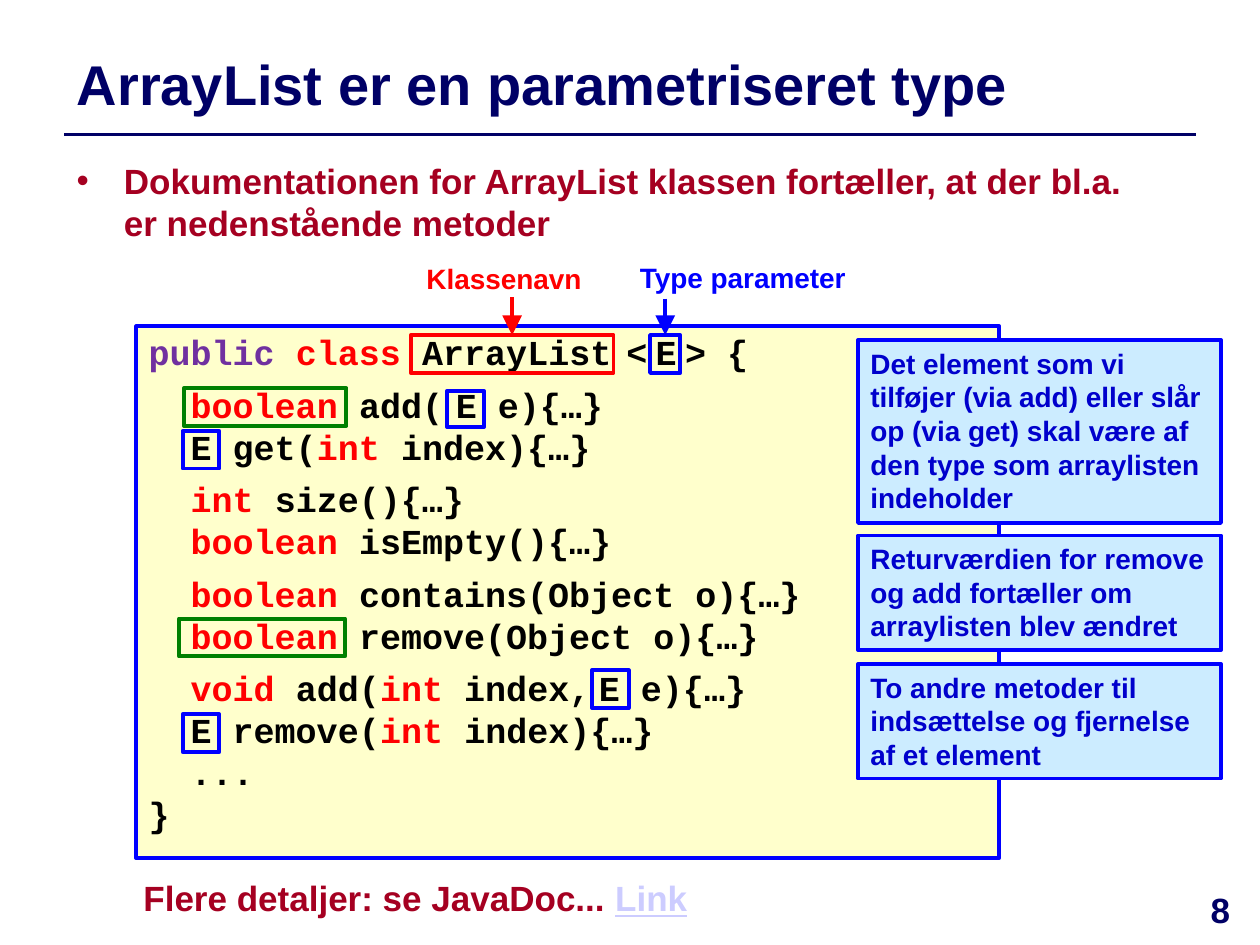
"""Build the slide on ArrayList as a parameterised type."""
from typing import NamedTuple

from lxml import etree
from pptx import Presentation
from pptx.dml.color import RGBColor
from pptx.enum.shapes import MSO_CONNECTOR, MSO_SHAPE
from pptx.enum.text import MSO_ANCHOR, MSO_AUTO_SIZE, PP_ALIGN
from pptx.oxml.ns import qn
from pptx.util import Pt

RECTANGLE = MSO_SHAPE.RECTANGLE
STRAIGHT = MSO_CONNECTOR.STRAIGHT
TOP, MIDDLE = MSO_ANCHOR.TOP, MSO_ANCHOR.MIDDLE
LEFT, CENTER = PP_ALIGN.LEFT, PP_ALIGN.CENTER
NO_AUTOFIT = MSO_AUTO_SIZE.NONE
SANS, MONO = "Arial", "Courier New"
LINE_FACTOR = 1.2
TOP_SITE = 0

COLORS = {
    "navy": "000066", "crimson": "A50021", "blue": "0000FF", "ink_blue": "0000CC",
    "red": "FF0000", "green": "008000", "purple": "7030A0", "black": "000000",
    "cream": "FFFFCC", "sky": "CCECFF", "link": "CCCCFF",
}


class Box(NamedTuple):
    left: float
    top: float
    width: float
    height: float


class Run(NamedTuple):
    text: str
    color: str = "black"
    size: float = 20
    underline: bool = False


class CodeLine(NamedTuple):
    runs: list[Run]
    space_before: float = 0


class Frame(NamedTuple):
    box: Box
    color: str


class Label(NamedTuple):
    text: str
    box: Box
    arrow_top: float
    target: Frame


class Callout(NamedTuple):
    text: str
    top: float
    height: float


def rgb(name: str) -> RGBColor:
    return RGBColor.from_string(COLORS[name])


def keyword(text: str) -> Run:
    return Run(text, "red")


def points(box: Box) -> list[Pt]:
    return [Pt(value) for value in box]


def add_runs(paragraph, runs: list[Run], font: str = SANS) -> None:
    for part in runs:
        run = paragraph.add_run()
        run.text = part.text
        run.font.name = font
        run.font.size = Pt(part.size)
        run.font.bold = True
        run.font.color.rgb = rgb(part.color)
        if part.underline:
            run.font.underline = True


def write(frame, runs: list[Run], align=LEFT):
    frame.word_wrap = True
    frame.vertical_anchor = TOP
    paragraph = frame.paragraphs[0]
    paragraph.alignment = align
    paragraph.line_spacing = Pt(runs[0].size * LINE_FACTOR)
    add_runs(paragraph, runs)
    return paragraph


def add_text(slide, box: Box, runs: list[Run], align=LEFT):
    return write(slide.shapes.add_textbox(*points(box)).text_frame, runs, align)


def add_rectangle(slide, box: Box, outline: str, fill: str | None = None):
    rectangle = slide.shapes.add_shape(RECTANGLE, *points(box))
    rectangle.shadow.inherit = False
    if fill:
        rectangle.fill.solid()
        rectangle.fill.fore_color.rgb = rgb(fill)
    else:
        rectangle.fill.background()
    rectangle.line.color.rgb = rgb(outline)
    rectangle.line.width = Pt(2.25)
    return rectangle


def add_line(slide, start: tuple, end: tuple, color: str, width: float):
    line = slide.shapes.add_connector(STRAIGHT, *(Pt(v) for v in start + end))
    line.line.color.rgb = rgb(color)
    line.line.width = Pt(width)
    etree.SubElement(line._element.spPr, qn("a:effectLst"))
    return line


def add_title(slide, text: str) -> None:
    title = slide.shapes.title
    title.left, title.top, title.width, title.height = points(Box(36.7, 20.2, 623.5, 54))
    frame = title.text_frame
    frame.auto_size = NO_AUTOFIT
    frame.vertical_anchor = MIDDLE
    frame.paragraphs[0].alignment = LEFT
    add_runs(frame.paragraphs[0], [Run(text, "navy", 32)])
    add_line(slide, (36.7, 77), (683.3, 77), "navy", 2)


def add_bullet(slide, box: Box, run: Run) -> None:
    paragraph = add_text(slide, box, [run])
    properties = paragraph._p.get_or_add_pPr()
    properties.set("marL", str(Pt(27)))
    properties.set("indent", str(-Pt(27)))
    etree.SubElement(properties, qn("a:buFont")).set("typeface", SANS)
    etree.SubElement(properties, qn("a:buChar")).set("char", "•")


def add_code(slide, box: Box, lines: list[CodeLine]) -> None:
    frame = add_rectangle(slide, box, "blue", "cream").text_frame
    frame.word_wrap = True
    frame.vertical_anchor = TOP
    frame.margin_top = Pt(2.5)
    for index, line in enumerate(lines):
        paragraph = frame.add_paragraph() if index else frame.paragraphs[0]
        paragraph.alignment = LEFT
        paragraph.line_spacing = Pt(20 * LINE_FACTOR)
        paragraph.space_before = Pt(line.space_before)
        add_runs(paragraph, line.runs, MONO)


def add_label(slide, label: Label) -> None:
    target, color = label.target.box, label.target.color
    add_text(slide, label.box, [Run(label.text, color, 16)], CENTER)
    framed = add_rectangle(slide, target, color)
    middle = target.left + target.width / 2
    arrow = add_line(slide, (middle, label.arrow_top), (middle, target.top), color, 2.25)
    arrow.end_connect(framed, TOP_SITE)
    head = etree.SubElement(arrow.line._get_or_add_ln(), qn("a:tailEnd"))
    head.set("type", "triangle")
    head.set("w", "lg")
    head.set("len", "lg")


CODE = [
    CodeLine([Run("public ", "purple"), keyword("class "), Run("ArrayList"),
              Run(" ", size=14), Run("<"), Run(" ", size=8), Run("E"),
              Run(" ", size=8), Run("> {")]),
    CodeLine([Run("  "), keyword("boolean "), Run("add("), Run(" ", size=12),
              Run("E e){…}")], 6),
    CodeLine([Run("  E get("), keyword("int "), Run("index){…}")]),
    CodeLine([keyword("  int "), Run("size(){…}")], 6),
    CodeLine([Run("  "), keyword("boolean "), Run("isEmpty(){…}")]),
    CodeLine([Run("  "), keyword("boolean "), Run("contains(Object o){…}")], 6),
    CodeLine([Run("  "), keyword("boolean "), Run("remove(Object o){…}")]),
    CodeLine([Run("  "), keyword("void "), Run("add("), keyword("int "), Run("index,"),
              Run(" ", size=8), Run("E e){…}")], 6),
    CodeLine([Run("  E remove("), keyword("int "), Run("index){…}")]),
    CodeLine([Run("  ...")]),
    CodeLine([Run("}")]),
]
LABELS = [
    Label("Type parameter", Box(352.8, 145.4, 143.3, 26.6), 170.6,
          Frame(Box(371.5, 191.5, 17.3, 21.6), "blue")),
    Label("Klassenavn", Box(227.5, 146.2, 121, 26.6), 169.9,
          Frame(Box(234.7, 191.5, 115.9, 21.6), "red")),
]
FRAMES = [
    Frame(Box(255.6, 223.2, 20.9, 20.9), "blue"),
    Frame(Box(104.4, 246.2, 20.9, 21.6), "blue"),
    Frame(Box(104.4, 408.2, 20.9, 21.6), "blue"),
    Frame(Box(338.4, 383, 20.9, 21.6), "blue"),
    Frame(Box(102.2, 353.5, 95, 21.6), "green"),
    Frame(Box(105.1, 221.8, 92.9, 21.6), "green"),
]
CALLOUTS = [
    Callout("Det element som vi tilføjer (via add) eller slår op (via get) skal være "
            "af den type som arraylisten indeholder", 194.4, 104.4),
    Callout("Returværdien for remove og add fortæller om arraylisten blev ændret", 306, 65.5),
    Callout("To andre metoder til indsættelse og fjernelse af et element", 379.4, 65.5),
]


def main() -> None:
    deck = Presentation()
    deck.slide_width, deck.slide_height = Pt(720), Pt(540)
    slide = deck.slides.add_slide(deck.slide_layouts[5])
    add_title(slide, "ArrayList er en parametriseret type")
    add_bullet(slide, Box(36.7, 87.8, 617.8, 40.3),
               Run("Dokumentationen for ArrayList klassen fortæller, at der bl.a. "
                   "er nedenstående metoder", "crimson"))
    add_code(slide, Box(77.8, 186.5, 493.2, 303.8), CODE)
    add_text(slide, Box(74.9, 497.5, 599.8, 31.7),
             [Run("Flere detaljer: se JavaDoc... ", "crimson"), Run("Link", "link", underline=True)])
    add_text(slide, Box(671.8, 504, 51.1, 36), [Run("8", "navy")], CENTER)
    for label in LABELS:
        add_label(slide, label)
    for frame in FRAMES:
        add_rectangle(slide, frame.box, frame.color)
    for callout in CALLOUTS:
        panel = add_rectangle(slide, Box(490.3, callout.top, 207.4, callout.height), "blue", "sky")
        write(panel.text_frame, [Run(callout.text, "ink_blue", 16)])
    deck.save("out.pptx")


if __name__ == "__main__":
    main()
